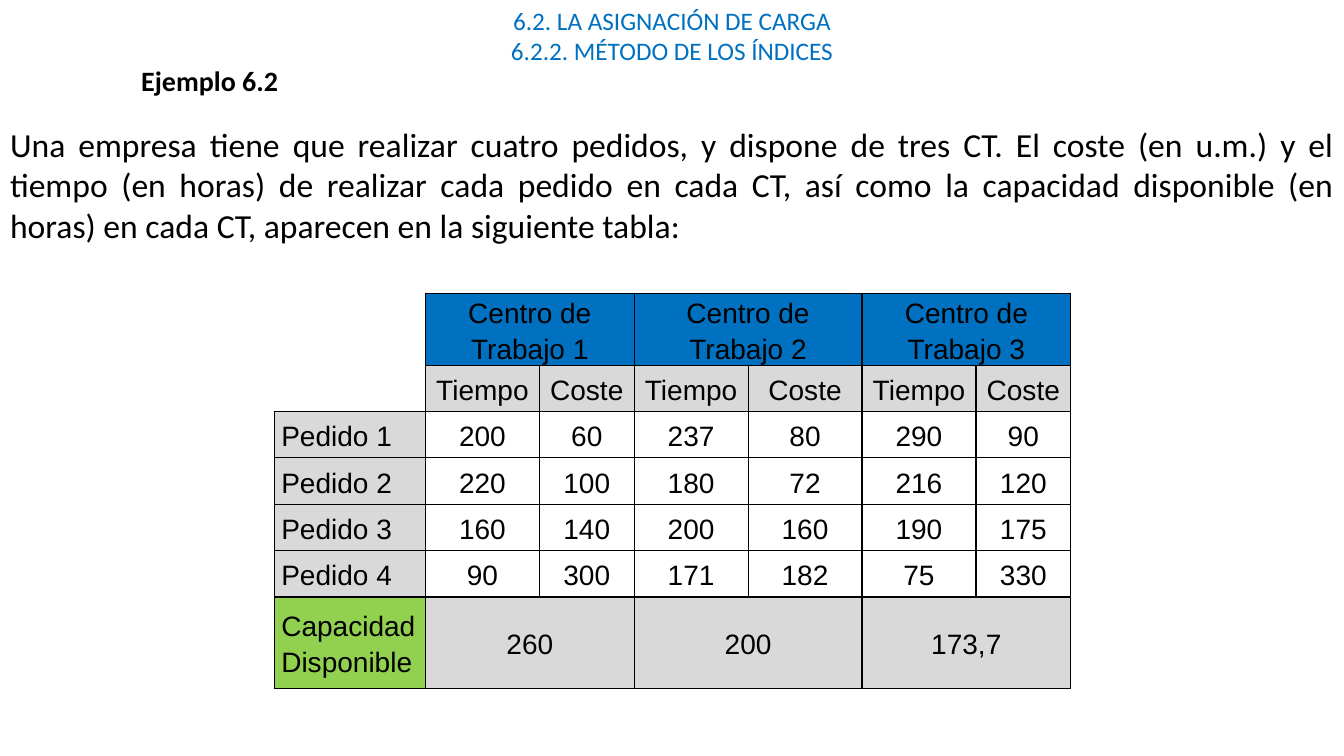
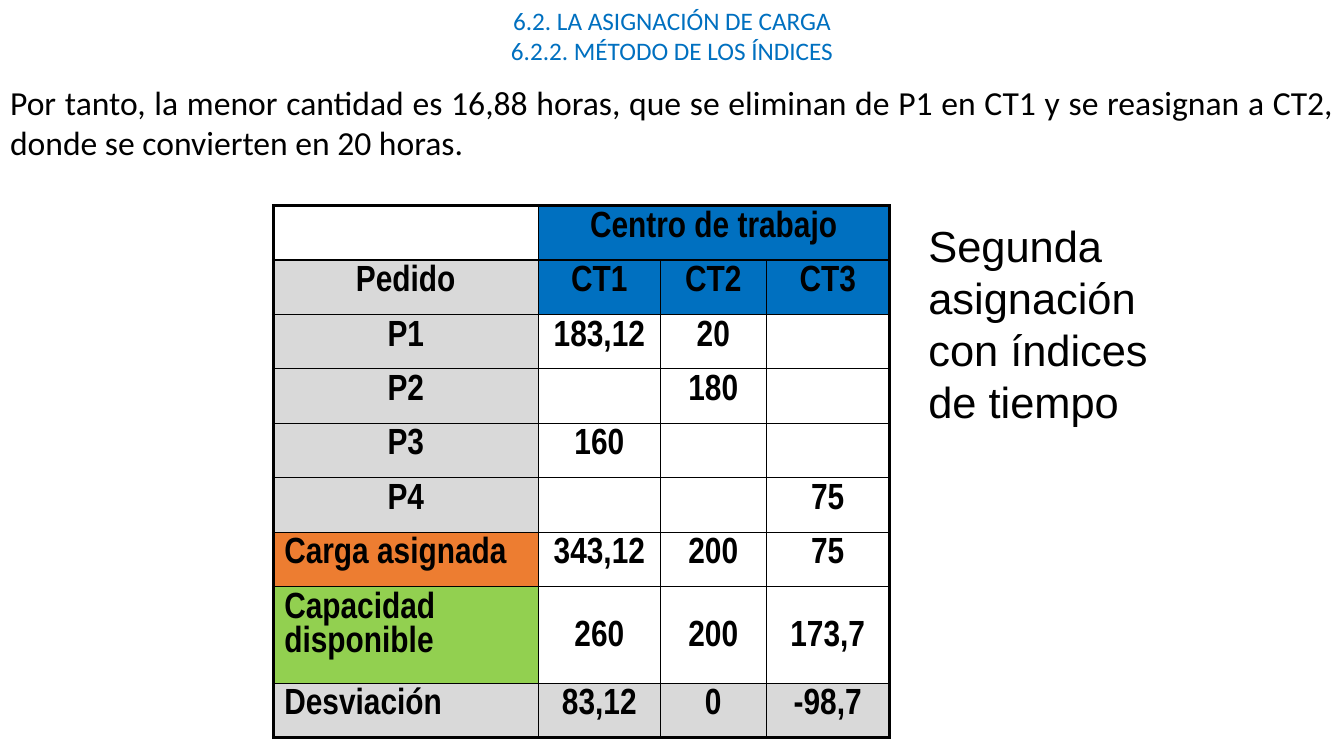
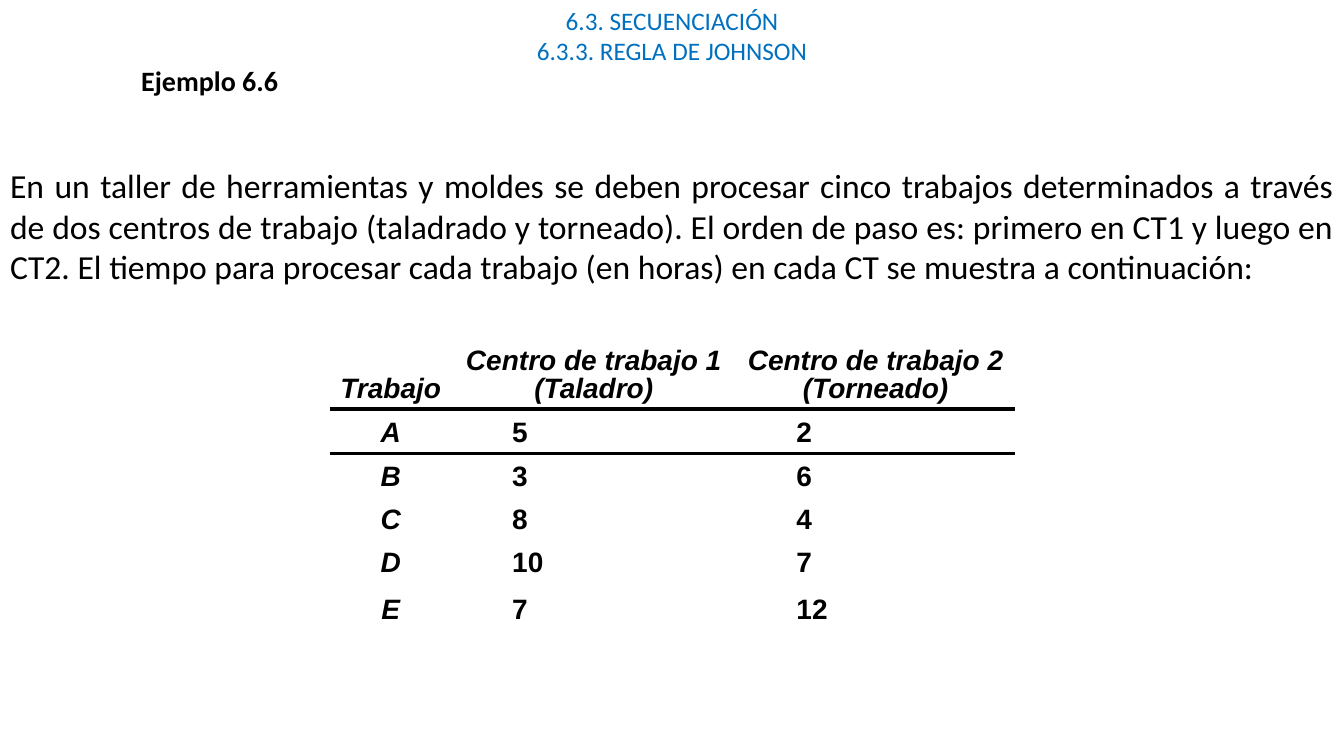
"""Build three slides on load assignment and job sequencing."""
import dataclasses
import typing

import lxml.etree
import pptx
import pptx.dml.color
import pptx.enum.text
import pptx.oxml.ns
import pptx.util

Inches = pptx.util.Inches
Pt = pptx.util.Pt
ALIGN = pptx.enum.text.PP_ALIGN
ANCHOR = pptx.enum.text.MSO_ANCHOR
qn = pptx.oxml.ns.qn

SLIDE_WIDTH, SLIDE_HEIGHT = 13.33, 7.5
BLACK, BLUE, GREY, GREEN, ORANGE = "000000", "0070C0", "D9D9D9", "92D050", "ED7D31"
PLAIN_TABLE = "{2D5ABB26-0587-4C30-8999-92F81FD0307C}"
NARROW, WIDE = (0.07, 0), (0.11, 0.05)

Edges = typing.Callable[[int, int, int], dict[str, float]]


@dataclasses.dataclass(frozen=True)
class TextStyle:
    """Character and paragraph format of one text."""
    name: str = "Arial"
    size: float = 20
    color: str = BLACK
    bold: bool = False
    italic: bool = False
    align: ALIGN = ALIGN.CENTER
    spacing: float = 1.0
    tab: float | None = None


@dataclasses.dataclass(frozen=True)
class CellStyle:
    """Look of a table cell."""
    text: TextStyle
    fill: str | None = None
    anchor: ANCHOR = ANCHOR.TOP
    insets: tuple[float, float] = (0.1, 0.05)


@dataclasses.dataclass(frozen=True)
class Row:
    """Table row: a label, then values; None continues the cell on its left."""
    height: float
    label: CellStyle
    value: CellStyle
    texts: tuple[str | None, ...]


@dataclasses.dataclass(frozen=True)
class Grid:
    """Table with its place, columns, rows and border rule."""
    left: float
    top: float
    widths: tuple[float, ...]
    rows: tuple[Row, ...]
    edges: Edges


@dataclasses.dataclass(frozen=True)
class Page:
    """Content of one slide."""
    heading: str
    statement: str
    statement_top: float
    statement_height: float
    grid: Grid
    example: str | None = None
    remark: str | None = None


HEADING = TextStyle("Calibri", 18, BLUE)
STATEMENT = TextStyle("Calibri", 24, align=ALIGN.JUSTIFY)
EXAMPLE = TextStyle("Calibri", 20, bold=True)
REMARK = TextStyle(size=31, align=ALIGN.LEFT)


def color(hex_value: str) -> pptx.dml.color.RGBColor:
    """Turn a hex string into a colour."""
    return pptx.dml.color.RGBColor.from_string(hex_value)


def assign(target: object, values: dict[str, typing.Any]) -> None:
    """Set each named attribute of the target."""
    for attribute, value in values.items():
        setattr(target, attribute, value)


def write(frame: typing.Any, text: str, style: TextStyle) -> None:
    """Fill a text frame, one paragraph per line."""
    frame.text = text
    for paragraph in frame.paragraphs:
        properties = paragraph._p.get_or_add_pPr()
        assign_indent = {"marL": "0", "indent": "0"}
        for key, value in assign_indent.items():
            properties.set(key, value)
        lxml.etree.SubElement(properties, qn("a:buNone"))
        if style.tab is not None:
            tabs = lxml.etree.SubElement(properties, qn("a:tabLst"))
            lxml.etree.SubElement(tabs, qn("a:tab"), pos=str(Inches(style.tab)), algn="l")
        assign(paragraph, {"alignment": style.align, "line_spacing": style.spacing,
                           "space_before": Pt(0)})
        for run in paragraph.runs:
            assign(run.font, {"name": style.name, "size": Pt(style.size),
                              "bold": style.bold, "italic": style.italic})
            run.font.color.rgb = color(style.color)


def place(shape: typing.Any, left: float, top: float, width: float, height: float,
          text: str, style: TextStyle) -> None:
    """Position a text shape and write its text."""
    assign(shape, {"left": Inches(left), "top": Inches(top),
                   "width": Inches(width), "height": Inches(height)})
    assign(shape.text_frame, {"word_wrap": True, "vertical_anchor": ANCHOR.TOP,
                              "auto_size": pptx.enum.text.MSO_AUTO_SIZE.NONE})
    write(shape.text_frame, text, style)


def add_label(slide: typing.Any, left: float, top: float, width: float, height: float,
              text: str, style: TextStyle) -> None:
    """Add a free text box."""
    box = slide.shapes.add_textbox(0, 0, 0, 0)
    place(box, left, top, width, height, text, style)


def draw_edges(cell: typing.Any, edges: dict[str, float]) -> None:
    """Give a cell its solid black borders."""
    properties = cell._tc.get_or_add_tcPr()
    sides = [side for side in "LRTB" if side in edges]
    for position, side in enumerate(sides):
        line = lxml.etree.Element(qn(f"a:ln{side}"), w=str(Pt(edges[side])))
        fill = lxml.etree.SubElement(line, qn("a:solidFill"))
        lxml.etree.SubElement(fill, qn("a:srgbClr"), val=BLACK)
        properties.insert(position, line)


def format_cell(cell: typing.Any, text: str, style: CellStyle) -> None:
    """Write a cell and set its fill, insets and anchor."""
    across, down = (Inches(inset) for inset in style.insets)
    assign(cell, {"margin_left": across, "margin_right": across, "margin_top": down,
                  "margin_bottom": down, "vertical_anchor": style.anchor})
    if style.fill:
        cell.fill.solid()
        cell.fill.fore_color.rgb = color(style.fill)
    else:
        cell.fill.background()
    if text:
        write(cell.text_frame, text, style.text)


def add_grid(slide: typing.Any, grid: Grid) -> None:
    """Add a table."""
    frame = slide.shapes.add_table(
        len(grid.rows), len(grid.widths), Inches(grid.left), Inches(grid.top),
        Inches(sum(grid.widths)), Inches(sum(row.height for row in grid.rows)))
    table = frame.table
    assign(table, {"first_row": False, "horz_banding": False})
    table._tbl.tblPr.find(qn("a:tableStyleId")).text = PLAIN_TABLE
    for column, width in zip(table.columns, grid.widths):
        column.width = Inches(width)
    for index, row in enumerate(grid.rows):
        table.rows[index].height = Inches(row.height)
        for first, text in enumerate(row.texts):
            if text is None:
                continue
            last = first
            while last + 1 < len(row.texts) and row.texts[last + 1] is None:
                last += 1
            cell = table.cell(index, first)
            if last > first:
                cell.merge(table.cell(index, last))
            format_cell(cell, text, row.value if first else row.label)
            for column in range(first, last + 1):
                draw_edges(table.cell(index, column), grid.edges(index, first, last))


def order_edges(row: int, first: int, last: int) -> dict[str, float]:
    """Rule every cell but the open top left corner."""
    if first == 0 and row < 2:
        return {"R": 1, "B": 1} if row == 1 else {"R": 1}
    return dict.fromkeys("LRTB", 1)


def assignment_edges(row: int, first: int, last: int) -> dict[str, float]:
    """Thin inner rules inside a thick frame."""
    on_rim = {"L": first == 0, "R": last == 3, "T": row == 0, "B": row == 8}
    return {side: 2.25 if rim else 1 for side, rim in on_rim.items()}


def job_edges(row: int, first: int, last: int) -> dict[str, float]:
    """One thick rule under the header."""
    return {0: {"B": 3}, 1: {"T": 3}}.get(row, {})


def order_grid() -> Grid:
    """Time and cost of each order in each work centre."""
    center = TextStyle(spacing=1.15)
    justified = dataclasses.replace(center, align=ALIGN.JUSTIFY)
    value = CellStyle(center, None, ANCHOR.MIDDLE, NARROW)
    header = dataclasses.replace(value, fill=BLUE)
    shaded = dataclasses.replace(value, fill=GREY)
    order = dataclasses.replace(shaded, text=justified)
    capacity = dataclasses.replace(order, fill=GREEN)
    centers = [text for number in (1, 2, 3) for text in (f"Centro de Trabajo {number}", None)]
    figures = (("200", "60", "237", "80", "290", "90"),
               ("220", "100", "180", "72", "216", "120"),
               ("160", "140", "200", "160", "190", "175"),
               ("90", "300", "171", "182", "75", "330"))
    orders = (Row(0.46, order, value, (f"Pedido {number}", *line))
              for number, line in enumerate(figures, 1))
    rows = (Row(0.65, value, header, ("", *centers)),
            Row(0.46, value, shaded, ("", *("Tiempo", "Coste") * 3)),
            *orders,
            Row(0.91, capacity, shaded,
                ("Capacidad Disponible", "260", None, "200", None, "173,7", None)))
    return Grid(2.72, 2.91, (1.5, 1.13, 0.94, 1.13, 1.13, 1.13, 0.94), rows, order_edges)


def assignment_grid() -> Grid:
    """Second assignment of hours to work centres."""
    center = TextStyle("Arial Narrow", 26, bold=True)
    blank = CellStyle(center, insets=WIDE)
    header = dataclasses.replace(blank, fill=BLUE)
    order = dataclasses.replace(blank, fill=GREY)
    deviation = dataclasses.replace(order, text=dataclasses.replace(center, align=ALIGN.LEFT))
    load = dataclasses.replace(deviation, fill=ORANGE)
    capacity = dataclasses.replace(deviation, fill=GREEN)
    value = CellStyle(dataclasses.replace(center, spacing=1.15), insets=NARROW)
    middle = dataclasses.replace(value, anchor=ANCHOR.MIDDLE)
    shaded = dataclasses.replace(value, fill=GREY)
    hours = (("183,12", "20", ""), ("", "180", ""), ("160", "", ""), ("", "", "75"))
    orders = (Row(0.54, order, value, (f"P{number}", *line))
              for number, line in enumerate(hours, 1))
    rows = (Row(0.54, blank, header, ("", "Centro de trabajo", None, None)),
            Row(0.54, order, header, ("Pedido", "CT1", "CT2", "CT3")),
            *orders,
            Row(0.54, load, value, ("Carga asignada", "343,12", "200", "75")),
            Row(0.96, capacity, middle, ("Capacidad disponible", "260", "200", "173,7")),
            Row(0.54, deviation, shaded, ("Desviación", "83,12", "0", "-98,7")))
    return Grid(2.71, 2.04, (2.63, 1.21, 1.05, 1.22), rows, assignment_edges)


def job_grid() -> Grid:
    """Hours of each job in both work centres."""
    slanted = TextStyle(bold=True, italic=True, spacing=0.9)
    upright = dataclasses.replace(slanted, italic=False, align=ALIGN.LEFT, tab=1)
    job = CellStyle(slanted, anchor=ANCHOR.BOTTOM)
    value = dataclasses.replace(job, text=upright)
    header = ("Trabajo", "Centro de trabajo 1 (Taladro)", "Centro de trabajo 2 (Torneado)")
    hours = (("A", 5, 2, 0.44), ("B", 3, 6, 0.43), ("C", 8, 4, 0.43),
             ("D", 10, 7, 0.43), ("E", 7, 12, 0.46))
    jobs = (Row(height, job, value, (letter, f"\t{drilling}", f"\t{turning}"))
            for letter, drilling, turning, height in hours)
    return Grid(3.27, 3.32, (1.21, 2.82, 2.77), (Row(0.74, job, job, header), *jobs), job_edges)


def add_page(deck: typing.Any, page: Page) -> None:
    """Add one slide."""
    slide = deck.slides.add_slide(deck.slide_layouts[1])
    place(slide.shapes.title, 0, 0, SLIDE_WIDTH, 0.71, page.heading, HEADING)
    place(slide.placeholders[1], 0, page.statement_top, SLIDE_WIDTH, page.statement_height,
          page.statement, STATEMENT)
    if page.example:
        add_label(slide, 1.24, 0.58, 1.68, 0.44, page.example, EXAMPLE)
    add_grid(slide, page.grid)
    if page.remark:
        add_label(slide, 9.11, 2.12, 2.6, 2.2, page.remark, REMARK)


def main() -> None:
    """Build and save the deck."""
    indices = "6.2. LA ASIGNACIÓN DE CARGA\n6.2.2. MÉTODO DE LOS ÍNDICES"
    johnson = "6.3. SECUENCIACIÓN\n6.3.3. REGLA DE JOHNSON"
    pages = (
        Page(indices,
             "Una empresa tiene que realizar cuatro pedidos, y dispone de tres CT. El coste "
             "(en u.m.) y el tiempo (en horas) de realizar cada pedido en cada CT, así como la "
             "capacidad disponible (en horas) en cada CT, aparecen en la siguiente tabla:",
             1.18, 1.73, order_grid(), example="Ejemplo 6.2"),
        Page(indices,
             "Por tanto, la menor cantidad es 16,88 horas, que se eliminan de P1 en CT1 y se "
             "reasignan a CT2, donde se convierten en 20 horas.",
             0.76, 1.73, assignment_grid(),
             remark="Segunda asignación con índices de tiempo"),
        Page(johnson,
             "En un taller de herramientas y moldes se deben procesar cinco trabajos "
             "determinados a través de dos centros de trabajo (taladrado y torneado). El orden "
             "de paso es: primero en CT1 y luego en CT2. El tiempo para procesar cada trabajo "
             "(en horas) en cada CT se muestra a continuación:",
             1.59, 1.31, job_grid(), example="Ejemplo 6.6"),
    )
    deck = pptx.Presentation()
    assign(deck, {"slide_width": Inches(SLIDE_WIDTH), "slide_height": Inches(SLIDE_HEIGHT)})
    for page in pages:
        add_page(deck, page)
    deck.save("out.pptx")


if __name__ == "__main__":
    main()
